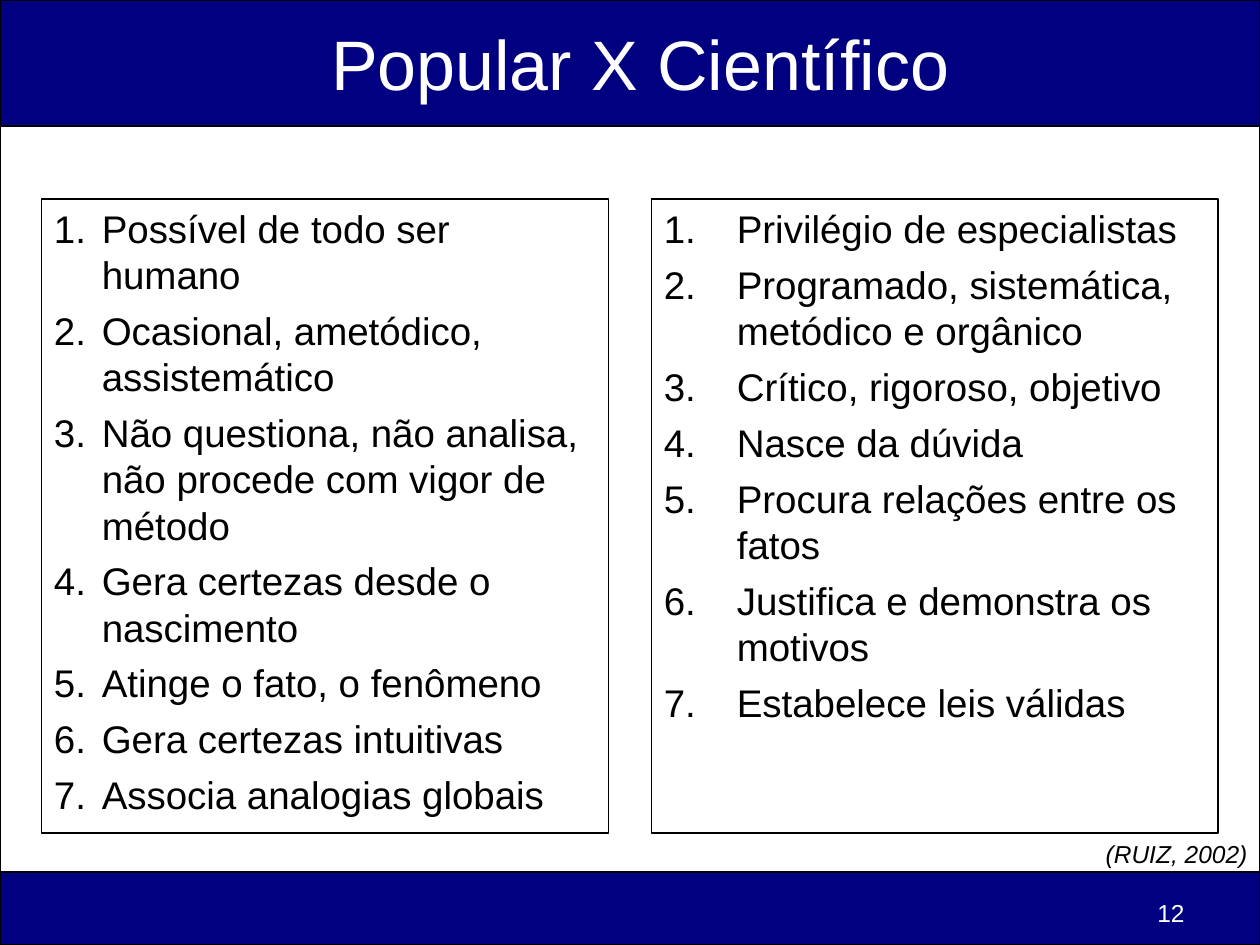
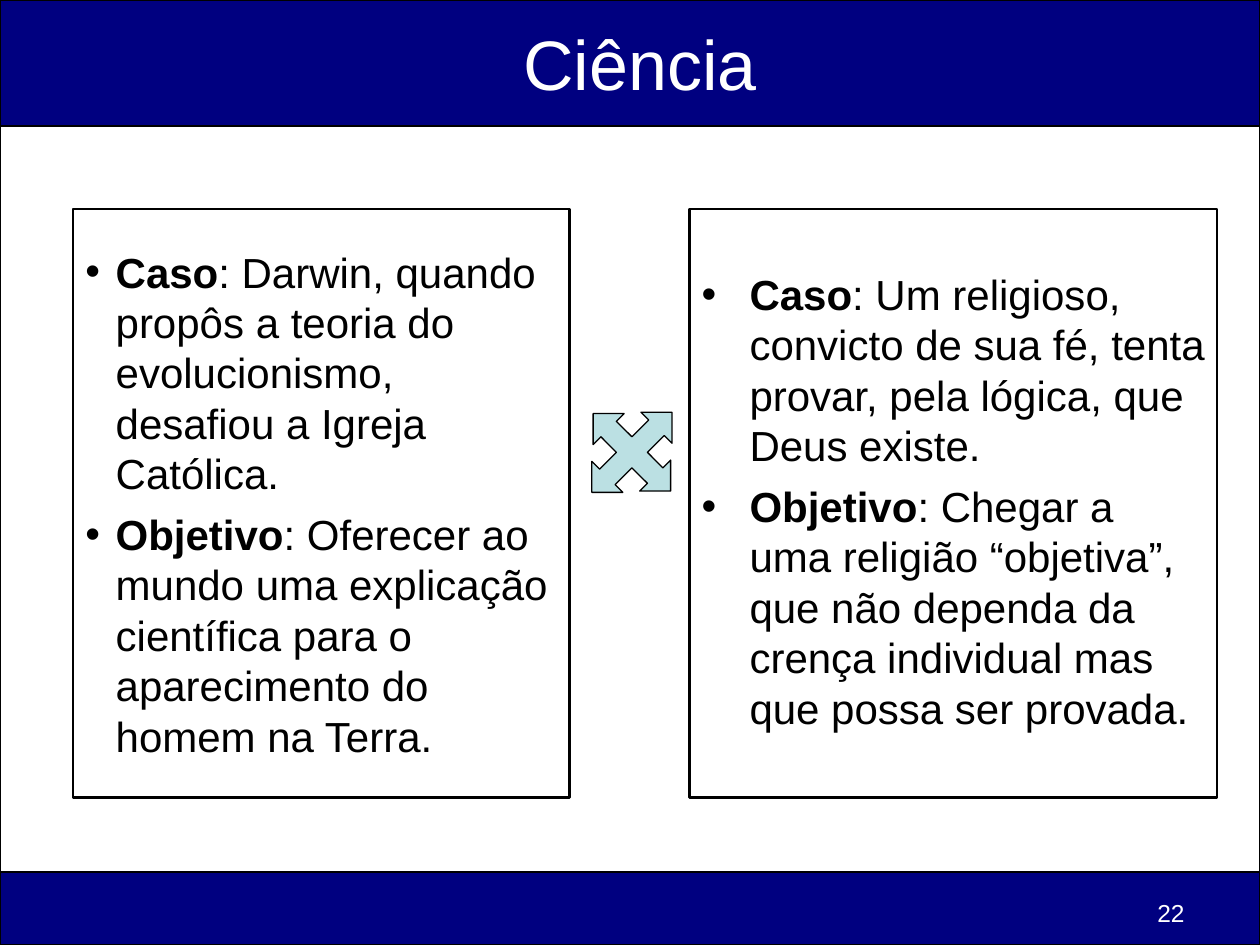
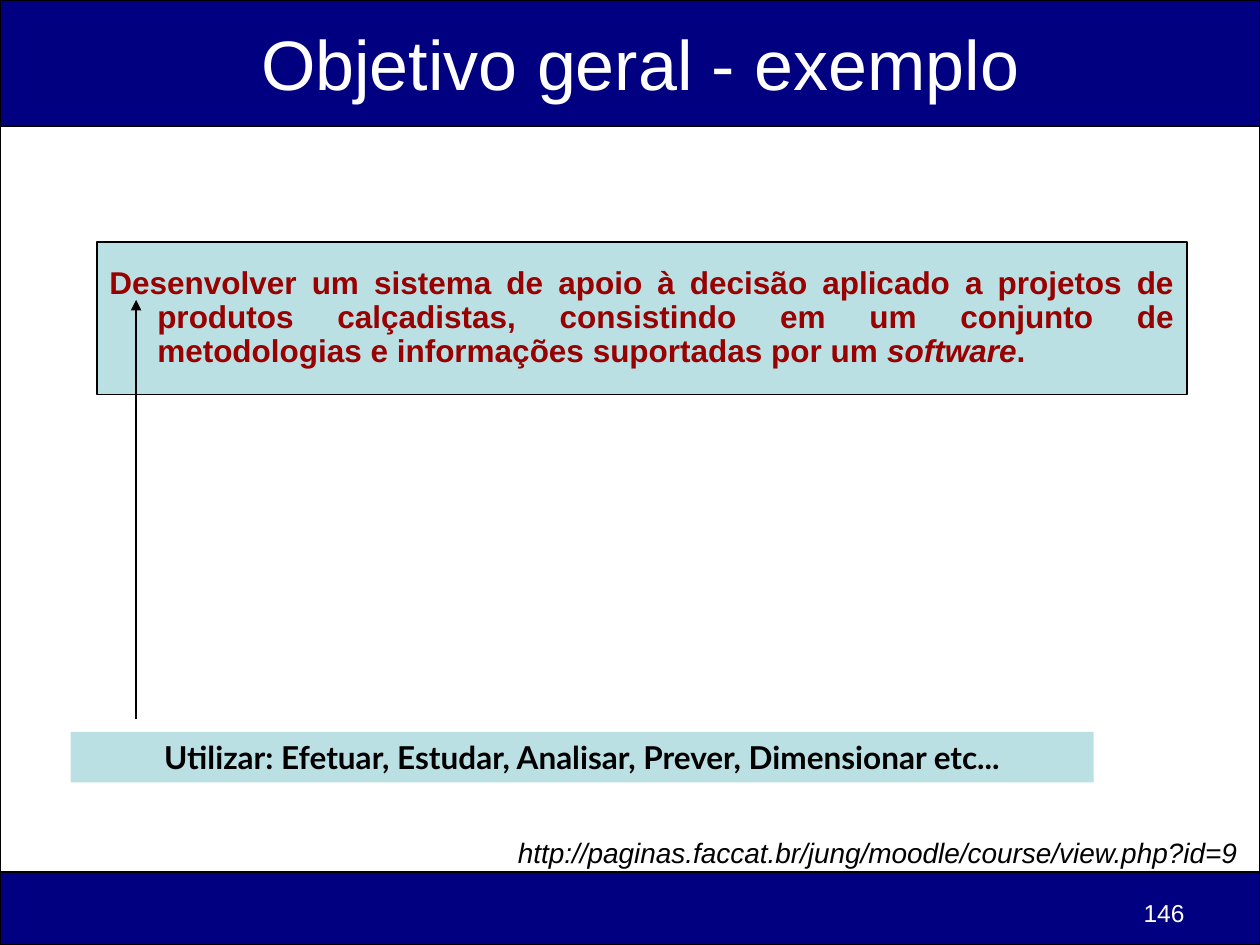
from lxml.etree import SubElement
from pptx import Presentation
from pptx.dml.color import RGBColor
from pptx.enum.shapes import MSO_CONNECTOR, MSO_SHAPE
from pptx.enum.text import MSO_ANCHOR, PP_ALIGN
from pptx.oxml.ns import qn
from pptx.util import Inches, Pt

NAVY = RGBColor(0x00, 0x00, 0x80)
WHITE = RGBColor(0xFF, 0xFF, 0xFF)
BLACK = RGBColor(0x00, 0x00, 0x00)
PALE_BLUE = RGBColor(0xBB, 0xE0, 0xE3)
DARK_RED = RGBColor(0x99, 0x00, 0x00)


def add_shape(slide, kind, left, top, width, height, fill=None, line=1):
    shape = slide.shapes.add_shape(
        kind, Inches(left), Inches(top), Inches(width), Inches(height))
    shape.shadow.inherit = False
    if fill is None:
        shape.fill.background()
    else:
        shape.fill.solid()
        shape.fill.fore_color.rgb = fill
    if line:
        shape.line.color.rgb = BLACK
        shape.line.width = Pt(line)
    else:
        shape.line.fill.background()
    return shape


def write_text(shape, paragraphs, size=18, color=BLACK, font="Arial", bold=False,
               italic=False, align=PP_ALIGN.LEFT, anchor=MSO_ANCHOR.TOP,
               bullet=None, indent=0, space_before=0, line_spacing=None, top_inset=0.05):
    """Each paragraph is a string or a list of (text, bold, italic) runs."""
    frame = shape.text_frame
    frame.word_wrap = True
    frame.vertical_anchor = anchor
    frame.margin_top = Inches(top_inset)
    for index, content in enumerate(paragraphs):
        paragraph = frame.add_paragraph() if index else frame.paragraphs[0]
        properties = paragraph._p.get_or_add_pPr()
        if indent:
            properties.set("marL", str(Inches(indent)))
            properties.set("indent", str(-Inches(indent)))
        if bullet:
            SubElement(properties, qn("a:buFont"), typeface=font)
        if bullet == "number":
            SubElement(properties, qn("a:buAutoNum"), type="arabicPeriod")
        elif bullet:
            SubElement(properties, qn("a:buChar"), char=bullet)
        paragraph.alignment = align
        if line_spacing:
            paragraph.line_spacing = line_spacing
        if index:
            paragraph.space_before = Pt(space_before)
        runs = [(content, bold, italic)] if isinstance(content, str) else content
        for text, run_bold, run_italic in runs:
            run = paragraph.add_run()
            run.text = text
            run.font.name = font
            run.font.size = Pt(size)
            run.font.color.rgb = color
            run.font.bold = run_bold
            run.font.italic = run_italic


presentation = Presentation()
presentation.slide_width = Inches(10)
presentation.slide_height = Inches(7.5)

# Shared bands, titles and page numbers
pages = [
    ("Popular X Científico", "12"),
    ("Ciência", "22"),
    ("Objetivo geral - exemplo", "146"),
]
bands = [(1, 5.92, WHITE), (0, 1, NAVY), (6.92, 0.58, NAVY)]
slides = []
for title, number in pages:
    slide = presentation.slides.add_slide(presentation.slide_layouts[6])
    for top, height, fill in bands:
        add_shape(slide, MSO_SHAPE.RECTANGLE, 0, top, 10, height, fill)
    title_box = slide.shapes.add_textbox(Inches(1.08), 0, Inches(8), Inches(1))
    write_text(title_box, [title], size=40, color=WHITE,
               align=PP_ALIGN.CENTER, anchor=MSO_ANCHOR.MIDDLE)
    number_box = slide.shapes.add_textbox(
        Inches(7.17), Inches(7.08), Inches(2.33), Inches(0.27))
    write_text(number_box, [number], size=14, color=WHITE, align=PP_ALIGN.RIGHT)
    slides.append(slide)
comparison, science, objective = slides

# Sources, right-aligned above the footer band
sources = [
    (comparison, "(RUIZ, 2002)", 14, 8, 6.61, 2),
    (objective, "http://paginas.faccat.br/jung/moodle/course/view.php?id=9",
     16, 3.42, 6.58, 6.5),
]
for slide, source, size, left, top, width in sources:
    source_box = slide.shapes.add_textbox(
        Inches(left), Inches(top), Inches(width), Inches(0.35))
    write_text(source_box, [source], size=size, italic=True, align=PP_ALIGN.RIGHT)

# Popular and scientific knowledge, side by side
popular = [
    "Possível de todo ser humano",
    "Ocasional, ametódico, assistemático",
    "Não questiona, não analisa, não procede com vigor de método",
    "Gera certezas desde o nascimento",
    "Atinge o fato, o fenômeno",
    "Gera certezas intuitivas",
    "Associa analogias globais",
]
scientific = [
    "Privilégio de especialistas",
    "Programado, sistemática, metódico e orgânico",
    "Crítico, rigoroso, objetivo",
    "Nasce da dúvida",
    "Procura relações entre os fatos",
    "Justifica e demonstra os motivos",
    "Estabelece leis válidas",
]
for left, items, indent in [(0.33, popular, 0.38), (5.17, scientific, 0.58)]:
    column = add_shape(comparison, MSO_SHAPE.RECTANGLE, left, 1.58, 4.5, 5.03)
    write_text(column, items, size=22, bullet="number", indent=indent, space_before=5.5)

# Two opposed cases
darwin = [
    ("Caso", ": Darwin, quando propôs a teoria do evolucionismo, "
             "desafiou a Igreja Católica."),
    ("Objetivo", ": Oferecer ao mundo uma explicação científica para o "
                 "aparecimento do homem na Terra."),
]
believer = [
    ("Caso", ": Um religioso, convicto de sua fé, tenta provar, pela lógica, "
             "que Deus existe."),
    ("Objetivo", ": Chegar a uma religião “objetiva”, que não dependa da crença "
                 "individual mas que possa ser provada."),
]
cases = [
    (0.58, 3.94, darwin, 0.24, MSO_ANCHOR.MIDDLE, 0.05),
    (5.47, 4.19, believer, 0.38, MSO_ANCHOR.TOP, 0.47),
]
for left, width, items, indent, anchor, top_inset in cases:
    case_box = add_shape(science, MSO_SHAPE.RECTANGLE, left, 1.66, width, 4.67, line=1.5)
    paragraphs = [[(label, True, False), (text, False, False)] for label, text in items]
    write_text(case_box, paragraphs, size=24, bullet="•", indent=indent,
               space_before=6, anchor=anchor, top_inset=top_inset)

# Four-way arrow between the cases
arrow = add_shape(science, MSO_SHAPE.QUAD_ARROW, 4.58, 3.14, 0.87, 0.9, PALE_BLUE, 0.75)
arrow.rotation = 45
for index in range(3):
    arrow.adjustments[index] = 0.2

# General objective and the verbs that can open it
statement = add_shape(objective, MSO_SHAPE.RECTANGLE, 0.77, 1.92, 8.65, 1.21,
                      PALE_BLUE, 0.75)
write_text(statement, [[
    ("Desenvolver um sistema de apoio à decisão aplicado a projetos de produtos "
     "calçadistas, consistindo em um conjunto de metodologias e informações "
     "suportadas por um ", True, False),
    ("software", True, True),
    (".", True, False),
]], color=DARK_RED, align=PP_ALIGN.JUSTIFY, anchor=MSO_ANCHOR.MIDDLE,
    indent=0.38, line_spacing=0.9)

verbs = add_shape(objective, MSO_SHAPE.RECTANGLE, 0.56, 5.81, 8.12, 0.4, PALE_BLUE, 0)
write_text(verbs, ["Utilizar: Efetuar, Estudar, Analisar, Prever, Dimensionar etc..."],
           font="Lato", bold=True, align=PP_ALIGN.CENTER)

pointer = objective.shapes.add_connector(
    MSO_CONNECTOR.STRAIGHT, Inches(1.08), Inches(5.71), Inches(1.08), Inches(2.38))
pointer.line.color.rgb = BLACK
pointer.line.width = Pt(0.75)
SubElement(pointer.line._get_or_add_ln(), qn("a:tailEnd"), type="triangle")
SubElement(pointer._element.spPr, qn("a:effectLst"))

presentation.save("out.pptx")
